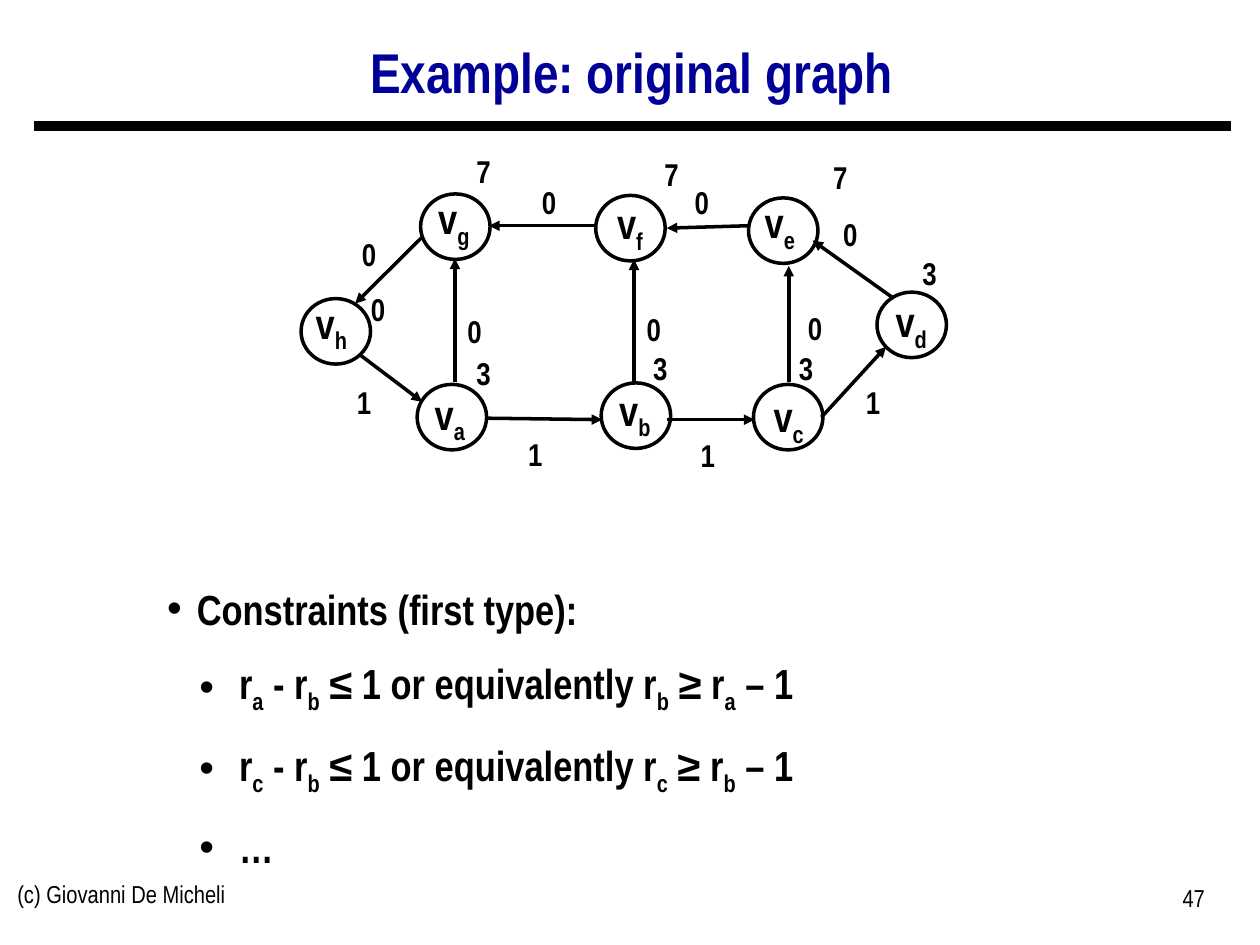
from lxml.etree import SubElement
from pptx import Presentation
from pptx.dml.color import RGBColor
from pptx.enum.shapes import MSO_CONNECTOR, MSO_SHAPE
from pptx.enum.text import MSO_ANCHOR, PP_ALIGN
from pptx.oxml.ns import qn
from pptx.util import Cm, Pt

HUES = {"ink": "000000", "title": "000099"}
FONT = "Arial Narrow"

TITLE = "Example: original graph"
CREDIT = "(c) Giovanni De Micheli"
PAGE = "47"
HEAD = "Constraints (first type):"
RULES = ["r_a - r_b ≤ 1 or equivalently r_b ≥ r_a – 1",
         "r_c - r_b ≤ 1 or equivalently r_c ≥ r_b – 1",
         "…"]

NODES = {
    "a": ((8.41, 7.75), (7.29, 7.7)),
    "b": ((12.12, 7.72), (11.02, 7.62)),
    "c": ((15.19, 7.75), (14.12, 7.75)),
    "d": ((17.68, 5.89), (16.59, 5.84)),
    "e": ((15.09, 3.99), (13.94, 3.84)),
    "f": ((12.01, 3.94), (10.92, 3.86)),
    "g": ((8.48, 3.91), (7.37, 3.76)),
    "h": ((6.07, 6.02), (4.9, 5.87)),
}
EDGES = [
    (9.17, 7.7, 9.17, 5.21), (8.51, 4.78, 7.16, 6.12),
    (7.24, 7.14, 8.51, 8.1), (12.78, 7.7, 12.78, 5.23),
    (15.11, 4.55, 13.44, 4.6), (16.56, 8.41, 17.86, 6.99),
    (17.98, 5.99, 16.38, 4.85), (15.9, 7.7, 15.9, 5.36),
    (9.78, 8.43, 12.14, 8.46), (13.44, 8.46, 15.21, 8.46),
    (11.99, 4.55, 9.86, 4.55),
]
WEIGHTS = {
    "0": [(16.38, 4.22), (13.39, 3.56), (15.67, 6.1), (12.42, 6.12),
          (8.81, 6.17), (10.31, 3.56), (6.68, 4.62), (6.86, 5.72)],
    "1": [(16.84, 7.59), (13.51, 8.66), (10.03, 8.64), (6.58, 7.59)],
    "3": [(17.98, 5), (15.49, 6.91), (12.55, 6.91), (8.99, 7.01)],
    "7": [(8.99, 2.95), (12.78, 3), (16.18, 3.07)],
}


def write(para, text, size=18, bold=True, hue="ink", align=PP_ALIGN.CENTER):
    """Fill a paragraph, lowering each letter that follows an underscore."""
    para.alignment = align
    first, *rest = text.split("_")
    parts = [(first, False)]
    for part in rest:
        parts += [(part[0], True), (part[1:], False)]
    for word, low in parts:
        if not word:
            continue
        run = para.add_run()
        run.text = word
        run.font.name, run.font.size, run.font.bold = FONT, Pt(size), bold
        run.font.color.rgb = RGBColor.from_string(HUES[hue])
        if low:
            run._r.get_or_add_rPr().set("baseline", "-25000")


def frame(slide, *area):
    """Add a wrapping text box and return its text frame."""
    body = slide.shapes.add_textbox(*map(Cm, area)).text_frame
    body.word_wrap = True
    return body


def mark(para, left, hang):
    """Give a paragraph a bullet with a hanging indent in centimetres."""
    props = para._p.get_or_add_pPr()
    props.set("marL", str(Cm(left)))
    props.set("indent", str(-Cm(hang)))
    SubElement(props, qn("a:buFont")).set("typeface", "Arial")
    SubElement(props, qn("a:buChar")).set("char", "•")


def draw(slide, ends, width, arrow=False):
    """Draw a straight line, with an arrowhead at its end on request."""
    line = slide.shapes.add_connector(MSO_CONNECTOR.STRAIGHT, *map(Cm, ends))
    line.line.color.rgb = RGBColor.from_string(HUES["ink"])
    line.line.width = Pt(width)
    if arrow:
        SubElement(line.line._get_or_add_ln(), qn("a:tailEnd")).set("type", "triangle")
    SubElement(line._element.spPr, qn("a:effectLst"))


def ring(slide, spot):
    """Draw the open circle of a node."""
    shape = slide.shapes.add_shape(MSO_SHAPE.FLOWCHART_CONNECTOR,
                                   *map(Cm, (*spot, 1.4, 1.32)))
    shape.shadow.inherit = False
    shape.fill.background()
    shape.line.color.rgb = RGBColor.from_string(HUES["ink"])
    shape.line.width = Pt(2)


def main():
    """Build the slide and save it."""
    deck = Presentation()
    deck.slide_width, deck.slide_height = Cm(25.4), Cm(19.05)
    slide = deck.slides.add_slide(deck.slide_layouts[5])

    title = slide.shapes.title
    title.left, title.top, title.width, title.height = map(Cm, (0.66, 0.56, 24.16, 1.91))
    title.text_frame.vertical_anchor = MSO_ANCHOR.MIDDLE
    para = title.text_frame.paragraphs[0]
    para.line_spacing = 0.9
    write(para, TITLE, size=32, hue="title")
    draw(slide, (0.69, 2.54, 24.82, 2.54), 6)

    for text, area, align in [
        (CREDIT, (0.1, 17.6, 8.05, 1.32), PP_ALIGN.LEFT),
        (PAGE, (18.62, 17.68, 5.92, 1.32), PP_ALIGN.RIGHT),
    ]:
        write(frame(slide, *area).paragraphs[0], text, size=14, bold=False, align=align)

    for text, spots in WEIGHTS.items():
        for spot in spots:
            write(frame(slide, *spot, 1.52, 1.02).paragraphs[0], text)
    for name, (spot, place) in NODES.items():
        ring(slide, spot)
        write(frame(slide, *place, 3.56, 1.27).paragraphs[0], "v_" + name, size=24)
    for ends in EDGES:
        draw(slide, ends, 2, arrow=True)

    body = frame(slide, 3.12, 11.63, 19.86, 5.84)
    para = body.paragraphs[0]
    mark(para, 0.6, 0.6)
    write(para, HEAD, size=24, align=PP_ALIGN.LEFT)
    for text in RULES:
        para = body.add_paragraph()
        mark(para, 1.45, 0.8)
        para.level = 1
        para.space_before = Pt(14)
        write(para, text, size=24, align=PP_ALIGN.LEFT)

    deck.save("out.pptx")


if __name__ == "__main__":
    main()
